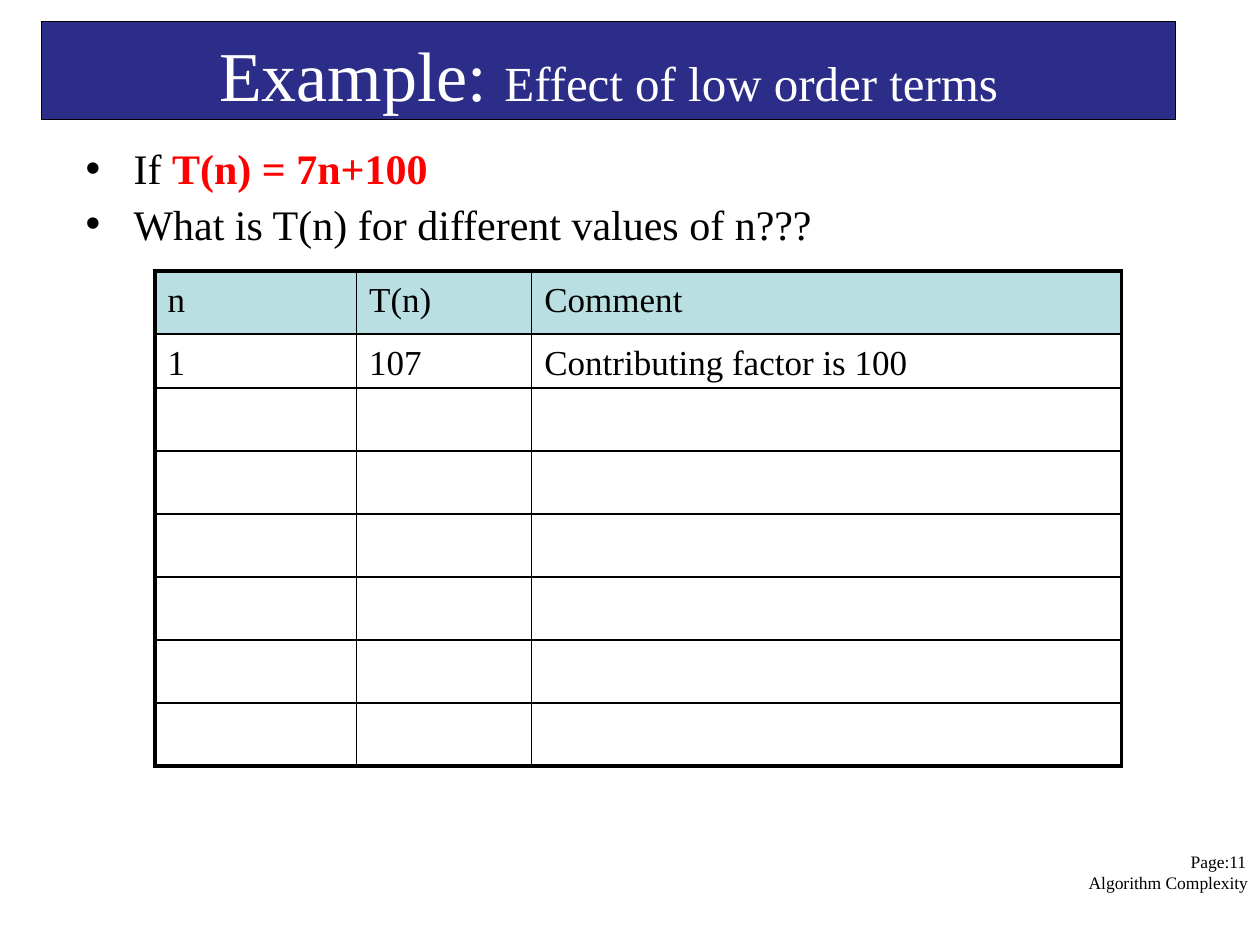
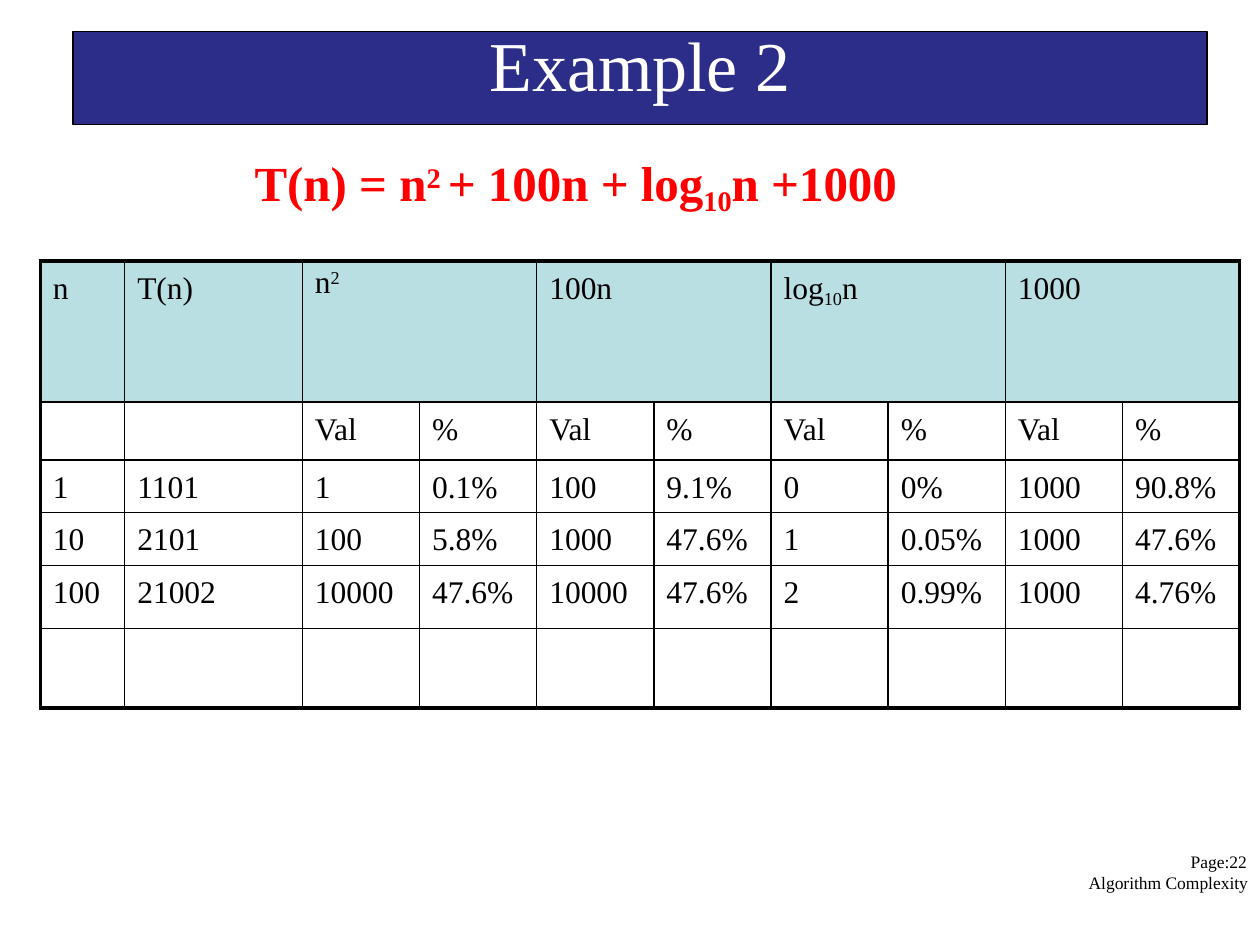
"""Build two slides on how low order terms affect algorithm complexity."""
import pptx
import pptx.dml.color
import pptx.enum.text
import pptx.oxml
import pptx.oxml.ns
import pptx.util

Inches = pptx.util.Inches
Pt = pptx.util.Pt
RGBColor = pptx.dml.color.RGBColor

FONT = "Times New Roman"
BLACK = RGBColor(0x00, 0x00, 0x00)
WHITE = RGBColor(0xFF, 0xFF, 0xFF)
RED = RGBColor(0xFF, 0x00, 0x00)
NAVY = RGBColor(0x2C, 0x2C, 0x89)
PALE_TEAL = RGBColor(0xBA, 0xDF, 0xE2)
OUTER_BORDER = 2.25
INNER_BORDER = 1


def write(para, text, size=18, color=BLACK, bold=False, baseline=0):
    """Add a formatted span; baseline is a percentage shift."""
    span = para.add_run()
    span.text = text
    span.font.name = FONT
    span.font.size = Pt(size)
    span.font.color.rgb = color
    span.font.bold = bold
    if baseline:
        span.font._element.set("baseline", str(baseline * 1000))


def add_grid(page, left, top, widths, heights, rows, size):
    """Add a bordered table; None joins a cell to the one on its left."""
    grid = page.shapes.add_table(
        len(rows), len(widths), Inches(left), Inches(top),
        Inches(sum(widths)), Inches(sum(heights))).table
    grid.horz_banding = False
    grid.first_row = False
    for column, width in zip(grid.columns, widths):
        column.width = Inches(width)
    for line, height in zip(grid.rows, heights):
        line.height = Inches(height)
    for r, values in enumerate(rows):
        for c, value in enumerate(values):
            if value is None:
                grid.cell(r, c - 1).merge(grid.cell(r, c))
    for r, values in enumerate(rows):
        for c, value in enumerate(values):
            cell = grid.cell(r, c)
            cell.margin_left = Inches(0.1)
            cell.margin_top = Inches(0.08)
            cell.margin_right = cell.margin_bottom = 0
            outer_sides = {
                "L": c == 0,
                "R": c + cell.span_width == len(widths),
                "T": r == 0,
                "B": r == len(rows) - 1,
            }
            properties = cell._tc.get_or_add_tcPr()
            for side, is_outer in outer_sides.items():
                weight = Pt(OUTER_BORDER if is_outer else INNER_BORDER)
                properties.append(pptx.oxml.parse_xml(
                    f'<a:ln{side} {pptx.oxml.ns.nsdecls("a")} w="{weight}">'
                    f'<a:solidFill><a:srgbClr val="{BLACK}"/></a:solidFill>'
                    f'</a:ln{side}>'))
            if r == 0:
                cell.fill.solid()
                cell.fill.fore_color.rgb = PALE_TEAL
            else:
                cell.fill.background()
            if value:
                write(cell.text_frame.paragraphs[0], value, size=size)
    return grid


deck = pptx.Presentation()
deck.slide_width = Inches(10)
deck.slide_height = Inches(7.5)
TITLE_AND_CONTENT = deck.slide_layouts[1]
TITLE_ONLY = deck.slide_layouts[5]

headings = [
    (TITLE_AND_CONTENT, 11, (0.33, 0.17, 9, 0.78), 0.08, None,
     [("Example: ", 40), ("Effect of low order terms", 28)]),
    (TITLE_ONLY, 22, (0.58, 0.25, 9, 0.74), 0, Pt(42), [("Example 2", 40)]),
]
pages = []
for layout, number, place, inset, spacing, spans in headings:
    page = deck.slides.add_slide(layout)
    pages.append(page)

    title = page.shapes.title
    title.left, title.top, title.width, title.height = map(Inches, place)
    title.fill.solid()
    title.fill.fore_color.rgb = NAVY
    title.line.color.rgb = BLACK
    title.line.width = Pt(0.75)
    frame = title.text_frame
    frame.auto_size = pptx.enum.text.MSO_AUTO_SIZE.NONE
    frame.vertical_anchor = pptx.enum.text.MSO_ANCHOR.TOP
    frame.margin_left = frame.margin_right = frame.margin_bottom = 0
    frame.margin_top = Inches(inset)
    para = frame.paragraphs[0]
    para.alignment = pptx.enum.text.PP_ALIGN.CENTER
    para.line_spacing = spacing
    for text, size in spans:
        write(para, text, size=size, color=WHITE)

    footer = page.shapes.add_textbox(
        Inches(0.42), Inches(6.1), Inches(9.54), Inches(1.33))
    frame = footer.text_frame
    frame.word_wrap = True
    frame.margin_left = frame.margin_right = frame.margin_bottom = 0
    frame.margin_top = Inches(0.98)
    para = frame.paragraphs[0]
    para.line_spacing = Pt(12)
    indents = para._p.get_or_add_pPr()
    indents.set("marL", str(Inches(8.22)))
    indents.set("indent", str(Inches(0.81)))
    write(para, f"Page:{number} Algorithm Complexity", size=10)

low_order_page, example_page = pages

body = low_order_page.placeholders[1]
body.left, body.top = Inches(0.67), Inches(1.03)
body.width, body.height = Inches(5.9), Inches(0.91)
frame = body.text_frame
frame.auto_size = pptx.enum.text.MSO_AUTO_SIZE.NONE
frame.margin_left = frame.margin_right = frame.margin_bottom = 0
frame.margin_top = Inches(0.1)
bullets = [
    [("If ", BLACK, False), ("T(n) = 7n+100", RED, True)],
    [("What is T(n) for different values of n???", BLACK, False)],
]
for index, spans in enumerate(bullets):
    para = frame.add_paragraph() if index else frame.paragraphs[0]
    para.space_before = Pt(3 if index else 0)
    indents = para._p.get_or_add_pPr()
    indents.set("marL", str(Inches(0.39)))
    indents.set("indent", str(Inches(-0.38)))
    for text, color, bold in spans:
        write(para, text, size=24, color=color, bold=bold)

add_grid(
    low_order_page, 1.23, 2.15, [1.6, 1.39, 4.68], [0.5, 0.43] + [0.5] * 6,
    [["n", "T(n)", "Comment"], ["1", "107", "Contributing factor is 100"]]
    + [[""] * 3] * 6, size=20)

formula = example_page.shapes.add_textbox(
    Inches(1.98), Inches(1.19), Inches(5.29), Inches(0.49))
frame = formula.text_frame
frame.word_wrap = True
frame.margin_left = Inches(0.04)
frame.margin_right = frame.margin_bottom = 0
frame.margin_top = Inches(0.02)
for text, baseline in [("T(n) = n", 0), ("2 ", 26), ("+ 100n + log", 0),
                       ("10", -21), ("n +1000", 0)]:
    write(frame.paragraphs[0], text, size=28, color=RED, bold=True,
          baseline=baseline)

terms = add_grid(
    example_page, 0.32, 2.07, [0.67, 1.41] + [0.93] * 8,
    [1.12, 0.46, 0.42, 0.42, 0.5, 0.63],
    [
        ["n", "T(n)", "", None, "100n", None, "", None, "1000", None],
        ["", ""] + ["Val", "%"] * 4,
        ["1", "1101", "1", "0.1%", "100", "9.1%", "0", "0%", "1000", "90.8%"],
        ["10", "2101", "100", "5.8%", "1000", "47.6%", "1", "0.05%", "1000",
         "47.6%"],
        ["100", "21002", "10000", "47.6%", "10000", "47.6%", "2", "0.99%",
         "1000", "4.76%"],
        [""] * 10,
    ], size=18)
term_labels = {
    2: [("n", 0), ("2", 30)],
    6: [("log", 0), ("10", -21), ("n", 0)],
}
for column, spans in term_labels.items():
    for text, baseline in spans:
        write(terms.cell(0, column).text_frame.paragraphs[0], text,
              baseline=baseline)
terms.cell(0, 2).margin_top = Inches(0.04)

deck.save("out.pptx")
